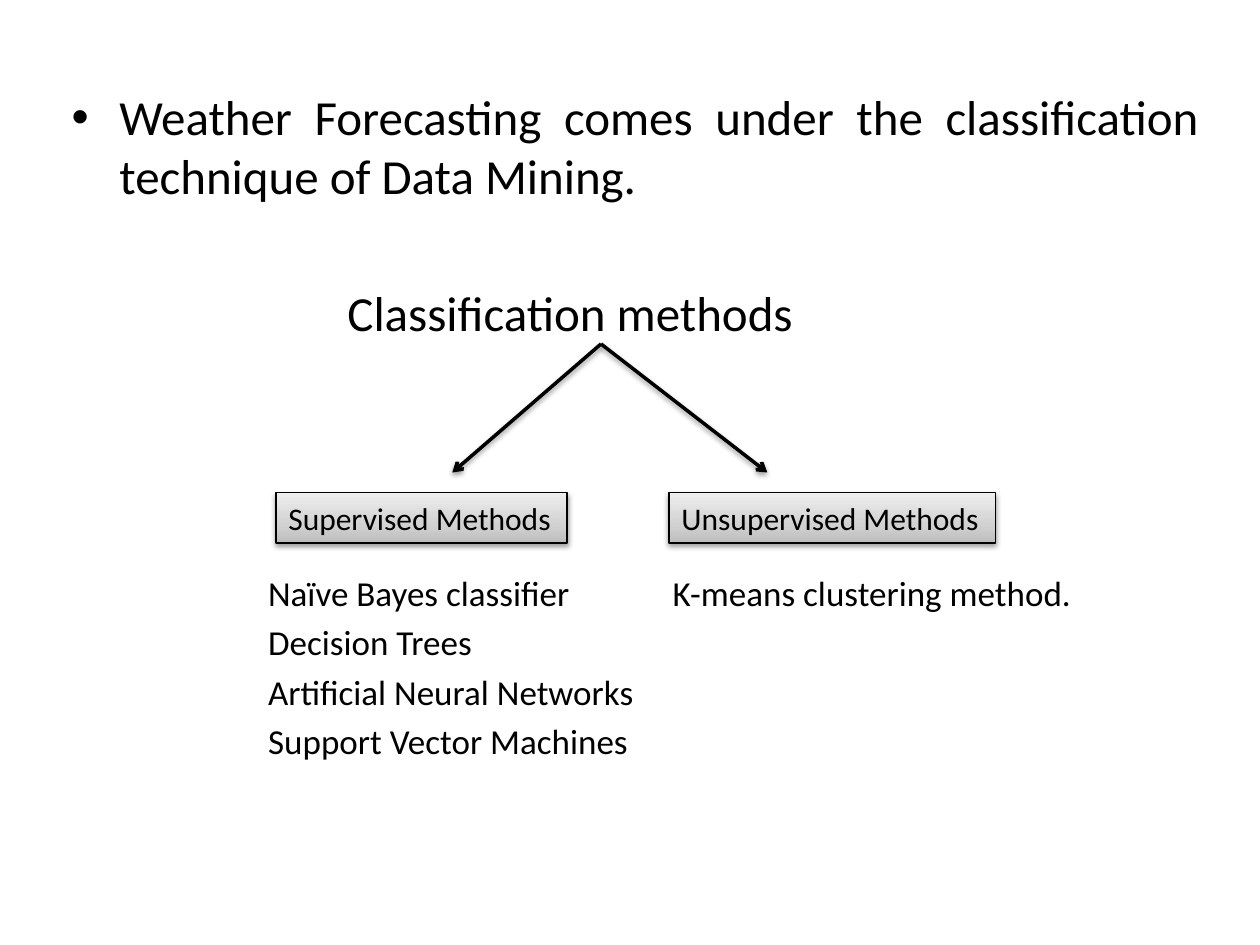
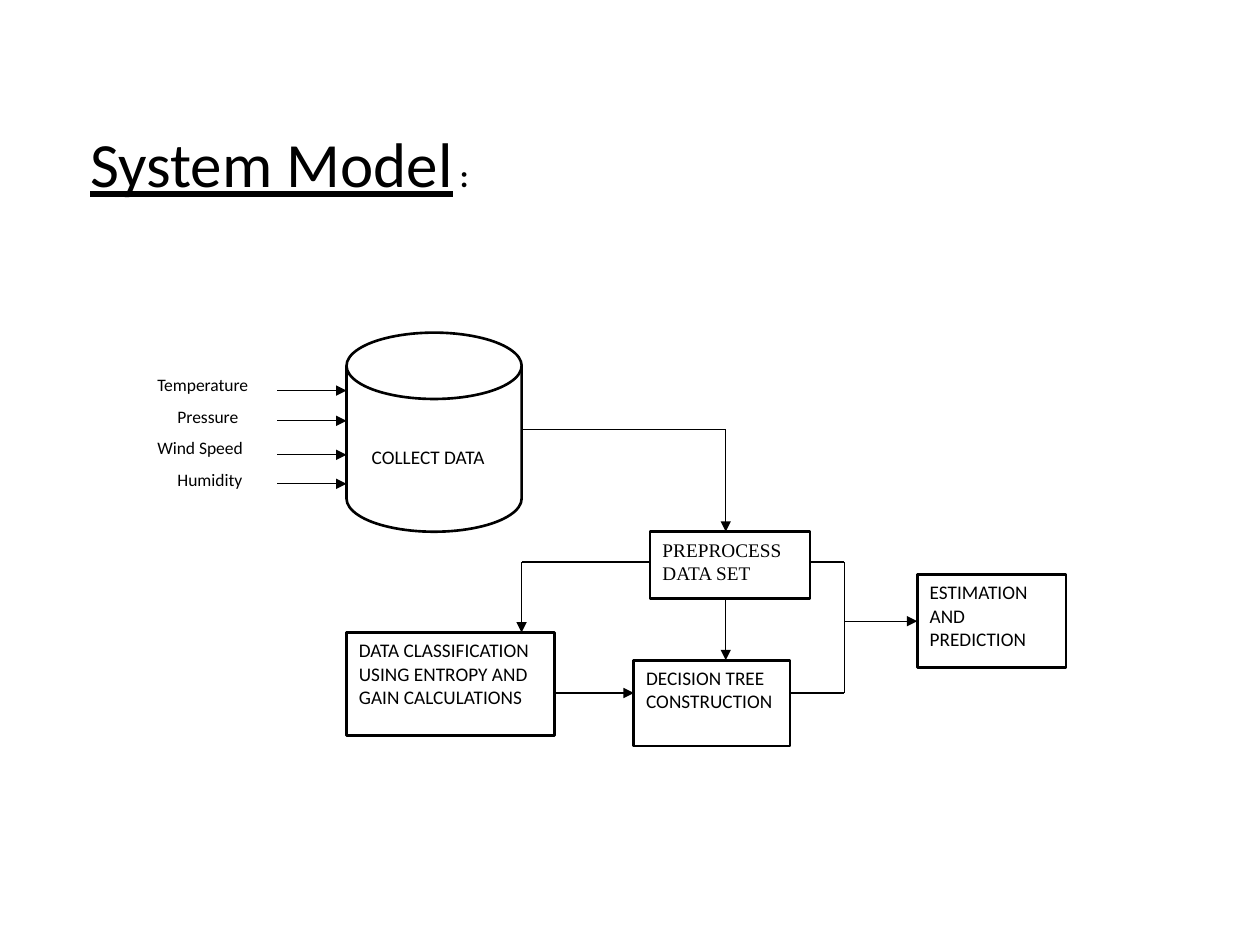
import copy

import pptx
import pptx.dml.color
import pptx.enum.shapes
import pptx.enum.text
import pptx.oxml.ns
import pptx.oxml.xmlchemy
import pptx.util
from lxml import etree

Inches = pptx.util.Inches
Pt = pptx.util.Pt
qn = pptx.oxml.ns.qn
SHAPE = pptx.enum.shapes.MSO_SHAPE
ALIGN = pptx.enum.text.PP_ALIGN

# Shared look
BLACK = "000000"
WHITE = "FFFFFF"
BODY_FONT = "Calibri"
SERIF_FONT = "Times New Roman"
METHOD_GRADIENT = [(0, "BDBDBD"), (0.35, "D1D1D1"), (1, "EEEEEE")]
FRAME = {"word_wrap": True, "vertical_anchor": pptx.enum.text.MSO_ANCHOR.TOP}


def color(hex_value):
    return pptx.dml.color.RGBColor.from_string(hex_value)


def apply(target, values):
    for name, value in values.items():
        setattr(target, name, value)


def add_run(paragraph, text, size, **font_values):
    run = paragraph.add_run()
    run.text = text
    apply(run.font, {"name": BODY_FONT, "size": Pt(size), **font_values})
    run.font.color.rgb = color(BLACK)


def write(frame, lines, size, frame_values=None, paragraph_values=None, font=BODY_FONT):
    apply(frame, {**FRAME, **(frame_values or {})})
    for index, line in enumerate(lines):
        paragraph = frame.add_paragraph() if index else frame.paragraphs[0]
        apply(paragraph, {"alignment": ALIGN.LEFT, **(paragraph_values or {})})
        add_run(paragraph, line, size, name=font)


def add_text(slide, box, lines, size, **paragraph_values):
    text = slide.shapes.add_textbox(*map(Inches, box))
    write(text.text_frame, lines, size, paragraph_values=paragraph_values)
    return text


def add_bullet(paragraph, indent):
    properties = paragraph._p.get_or_add_pPr()
    properties.set("marL", str(Inches(indent)))
    properties.set("indent", str(-Inches(indent)))
    etree.SubElement(properties, qn("a:buFont"), typeface="Arial")
    etree.SubElement(properties, qn("a:buChar"), char="•")


def add_soft_shadow(effects):
    shadow = etree.SubElement(effects, qn("a:outerShdw"), blurRad=str(Pt(3.1)),
                              dist=str(Pt(1.6)), dir="5400000", rotWithShape="0")
    tone = etree.SubElement(shadow, qn("a:srgbClr"), val=BLACK)
    etree.SubElement(tone, qn("a:alpha"), val="38000")


def add_block(slide, box, lines, size, line_width=1.5, kind=SHAPE.RECTANGLE,
              frame_values=None, font=BODY_FONT, space_after=10):
    block = slide.shapes.add_shape(kind, *map(Inches, box))
    block.shadow.inherit = False
    block.fill.solid()
    block.fill.fore_color.rgb = color(WHITE)
    if line_width:
        block.line.color.rgb = color(BLACK)
        block.line.width = Pt(line_width)
    else:
        block.line.fill.background()
    write(block.text_frame, lines, size, frame_values,
          {"space_after": Pt(space_after)}, font)
    return block


def add_method_box(slide, left, width, label):
    method = add_block(slide, (left, 3.91, width, 0.4), [label], 18, 0.75,
                       frame_values={"word_wrap": False}, space_after=0)
    method.fill.gradient()
    method.fill.gradient_angle = 90
    # The default gradient has two stops; a third goes between them
    stop_list = method._element.spPr.find(qn("a:gradFill")).find(qn("a:gsLst"))
    stop_list.insert(1, copy.deepcopy(stop_list[0]))
    for stop, (position, tone) in zip(method.fill.gradient_stops, METHOD_GRADIENT):
        stop.position = position
        stop.color.rgb = color(tone)
    add_soft_shadow(method._element.spPr.find(qn("a:effectLst")))


def add_line(slide, start, end, head=None, width=0.75, soft_shadow=False):
    line = slide.shapes.add_connector(pptx.enum.shapes.MSO_CONNECTOR.STRAIGHT,
                                      *map(Inches, start + end))
    line.line.color.rgb = color(BLACK)
    line.line.width = Pt(width)
    properties = line._element.spPr
    if head:
        etree.SubElement(properties.find(qn("a:ln")), qn("a:tailEnd"), type=head)
    effects = etree.SubElement(properties, qn("a:effectLst"))
    if soft_shadow:
        add_soft_shadow(effects)
    return line


def build_classification(slide):
    # Statement and heading of the tree
    statement = add_text(
        slide, (0.47, 0.64, 9.14, 1.05),
        ["Weather Forecasting comes under the classification technique of Data Mining."],
        28, alignment=ALIGN.JUSTIFY)
    add_bullet(statement.text_frame.paragraphs[0], 0.38)
    add_text(slide, (2.66, 2.19, 3.9, 0.57), ["Classification methods"], 28)

    # Branches
    for branch_x in (6.09, 3.59):
        add_line(slide, (4.77, 2.73), (branch_x, 3.75), "arrow", 2, True)
    add_method_box(slide, 2.19, 2.31, "Supervised Methods")
    add_method_box(slide, 5.31, 2.59, "Unsupervised Methods")

    # Techniques under each branch
    add_text(slide, (2.03, 4.49, 3.2, 1.65),
             ["Naïve Bayes classifier", "Decision Trees",
              "Artificial Neural Networks", "Support Vector Machines"],
             20, space_before=Pt(4))
    add_text(slide, (5.24, 4.49, 3.6, 0.45), ["K-means clustering method."], 20)


def build_system_model(slide):
    # Title
    title = add_text(slide, (0.62, 0.94, 3.3, 0.71), [], 36)
    title.text_frame.word_wrap = False
    heading = title.text_frame.paragraphs[0]
    add_run(heading, "System Model", 36, underline=True)
    add_run(heading, " :", 18, bold=True)

    # Data store and its inputs
    add_block(slide, (2.75, 2.64, 1.39, 1.58), ["COLLECT DATA"], 11,
              kind=SHAPE.FLOWCHART_MAGNETIC_DISK,
              frame_values={"margin_left": Inches(0.2), "margin_right": 0,
                            "margin_top": Inches(0.37)})
    inputs = [("Temperature", 1.15, 3.1), ("Pressure", 1.31, 3.34),
              ("Wind Speed", 1.15, 3.61), ("Humidity", 1.31, 3.84)]
    for row, (measure, left, arrow_y) in enumerate(inputs):
        add_block(slide, (left, 2.92 + 0.25 * row, 2.1 - left, 0.25), [measure], 10, None)
        add_line(slide, (2.2, arrow_y), (2.75, arrow_y), "triangle")

    # Processing steps
    add_block(slide, (5.16, 4.22, 1.27, 0.53), ["PREPROCESS DATA SET"], 11, font=SERIF_FONT)
    add_block(slide, (2.75, 5.02, 1.65, 0.82),
              ["DATA CLASSIFICATION USING ENTROPY AND GAIN CALCULATIONS"], 11)
    add_block(slide, (5.03, 5.24, 1.24, 0.68), ["DECISION TREE CONSTRUCTION"], 11)
    estimation = add_block(slide, (7.28, 4.56, 1.18, 0.74), ["ESTIMATION AND PREDICTION"], 11)

    # Flow: each route is a chain of points, with an arrowhead on its last leg
    store_x, preprocess_x, merge_x = 4.14, 5.76, 6.7
    store_y, preprocess_y, tree_y = 3.41, 4.46, 5.5
    routes = [
        ([(store_x, store_y), (preprocess_x, store_y), (preprocess_x, 4.22)], "triangle"),
        ([(5.16, preprocess_y), (store_x, preprocess_y), (store_x, 5.02)], "triangle"),
        ([(preprocess_x, 4.75), (preprocess_x, 5.24)], "triangle"),
        ([(4.4, tree_y), (5.03, tree_y)], "triangle"),
        ([(6.43, preprocess_y), (merge_x, preprocess_y),
          (merge_x, tree_y), (6.27, tree_y)], None),
    ]
    for points, head in routes:
        for leg, (start, end) in enumerate(zip(points, points[1:]), 2):
            add_line(slide, start, end, head if leg == len(points) else None)
    to_estimation = add_line(slide, (merge_x, 4.93), (7.28, 4.93), "triangle")
    to_estimation.end_connect(estimation, 1)


def main():
    deck = pptx.Presentation()
    apply(deck, {"slide_width": Inches(10), "slide_height": Inches(7.5)})
    for build in (build_classification, build_system_model):
        build(deck.slides.add_slide(deck.slide_layouts[6]))
    deck.save("out.pptx")


if __name__ == "__main__":
    main()
